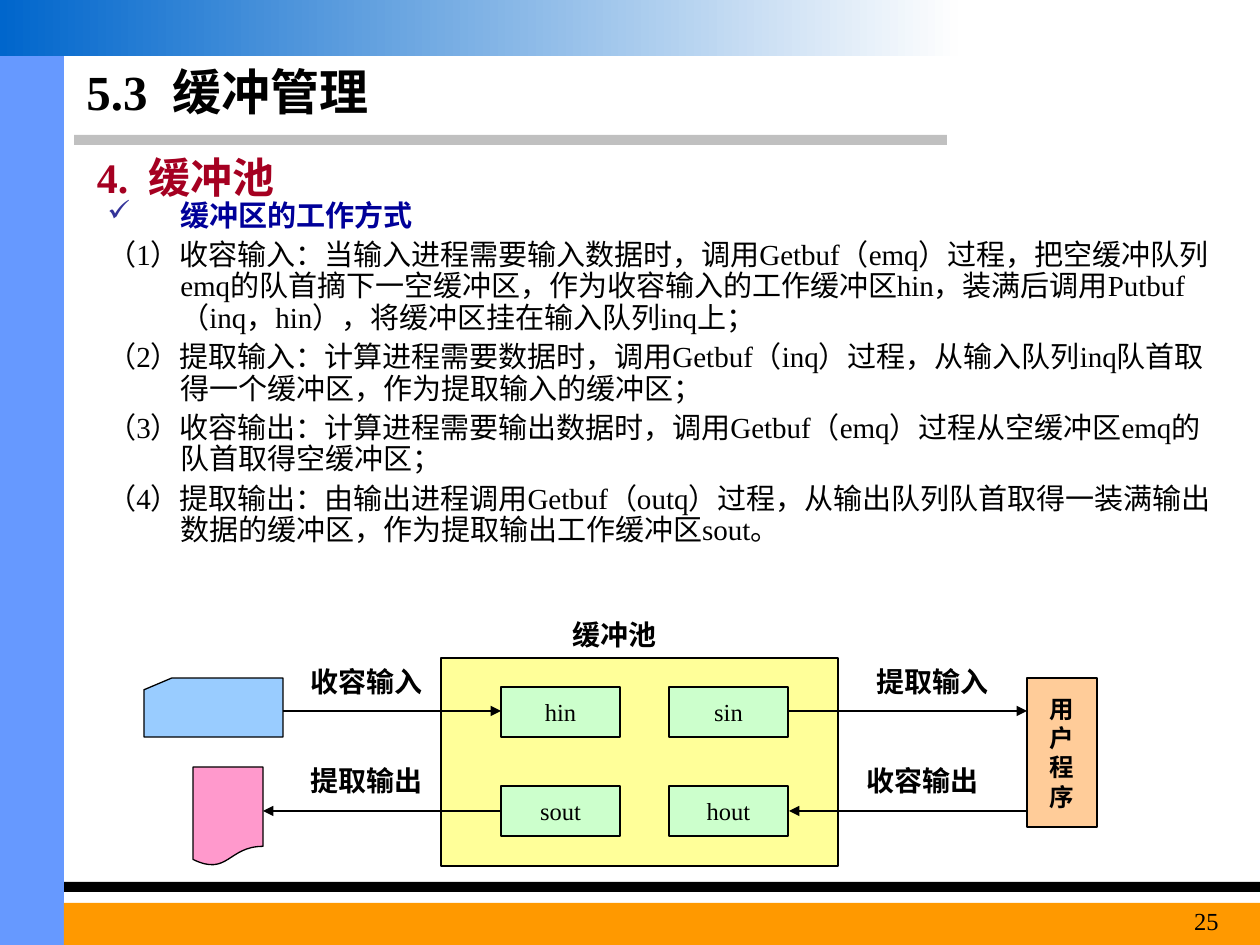
from lxml.etree import SubElement as Sub
from pptx import Presentation
from pptx.dml.color import RGBColor as Rgb
from pptx.enum.shapes import MSO_CONNECTOR as Conn, MSO_SHAPE as Kind
from pptx.enum.text import MSO_ANCHOR as Anchor, PP_ALIGN as Align
from pptx.oxml.ns import qn
from pptx.util import Emu, Pt

FONT = "Times New Roman"
HUES = {
    "black": "000000", "gray": "C0C0C0", "side": "6699FF", "foot": "FF9900",
    "deep": "0066CC", "pale": "FEFEFE", "red": "A50021", "navy": "000099",
    "mark": "333399", "pool": "FFFF99", "user": "FFCC99", "cell": "CCFFCC",
    "card": "99CCFF", "paper": "FF99CC",
}
STEPS = [
    "（1）收容输入：当输入进程需要输入数据时，调用Getbuf（emq）过程，把空缓冲队列emq的队首摘下一空缓冲区，作为收容输入的工作缓冲区hin，装满后调用Putbuf（inq，hin），将缓冲区挂在输入队列inq上；",
    "（2）提取输入：计算进程需要数据时，调用Getbuf（inq）过程，从输入队列inq队首取得一个缓冲区，作为提取输入的缓冲区；",
    "（3）收容输出：计算进程需要输出数据时，调用Getbuf（emq）过程从空缓冲区emq的队首取得空缓冲区；",
    "（4）提取输出：由输出进程调用Getbuf（outq）过程，从输出队列队首取得一装满输出数据的缓冲区，作为提取输出工作缓冲区sout。",
]


def px(n):
    return Emu(round(n * 914400 / 126))


def hue(name):
    return Rgb.from_string(HUES[name])


def style(para, size, color="black", bold=False, align=Align.LEFT):
    para.alignment = align
    font = para.font
    font.name, font.size, font.bold = FONT, Pt(size), bold
    font.color.rgb = hue(color)


def shape(slide, box, fill, kind=Kind.RECTANGLE, edge=True):
    item = slide.shapes.add_shape(kind, *map(px, box))
    item.shadow.inherit = False
    item.fill.solid()
    item.fill.fore_color.rgb = hue(fill)
    if edge:
        item.line.color.rgb = hue("black")
        item.line.width = Pt(0.75)
    else:
        item.line.fill.background()
    return item


def block(slide, box, fill, lines, bold=False):
    frame = shape(slide, box, fill).text_frame
    frame.word_wrap = False
    frame.vertical_anchor = Anchor.MIDDLE
    frame.text = "\n".join(lines)
    for para in frame.paragraphs:
        style(para, 14, bold=bold, align=Align.CENTER)


def text(slide, box, words, size, color="black", bold=True, align=Align.LEFT, tab=0):
    frame = slide.shapes.add_textbox(*map(px, box)).text_frame
    frame.word_wrap = True
    frame.text = words
    para = frame.paragraphs[0]
    if tab:
        tabs = Sub(para._p.get_or_add_pPr(), qn("a:tabLst"))
        Sub(tabs, qn("a:tab"), pos=str(px(tab)), algn="l")
    style(para, size, color, bold, align)
    return frame


def arrow(slide, start, end, y):
    line = slide.shapes.add_connector(Conn.STRAIGHT, px(start), px(y), px(end), px(y))
    line.line.color.rgb = hue("black")
    line.line.width = Pt(0.75)
    Sub(line.line._get_or_add_ln(), qn("a:tailEnd"), type="triangle")
    Sub(line._element.spPr, qn("a:effectLst"))


def trim(slide, box):
    x, y, w, h = box
    side, band = 64, 56
    shape(slide, (x + 74, y + 135, 873, 10), "gray", edge=False)
    shape(slide, (x, y + 882, w, 10), "black", edge=False)
    shape(slide, (x, y + band, side, h - band), "side", edge=False)
    shape(slide, (x + side, y + 903, w - side, h - 903), "foot", edge=False)
    top = shape(slide, (x, y, 958, band), "deep", edge=False)
    top.fill.gradient()
    top.fill.gradient_angle = 180
    for stop, name in zip(top.fill.gradient_stops, ("pale", "deep")):
        stop.color.rgb = hue(name)
    text(slide, (x + 1116, y + 900, 115, 45), "25", 14, bold=False, align=Align.RIGHT)


def head(slide, box):
    x, y, w, h = box
    title = text(slide, (x, y, w, 70), "5.3\t缓冲管理", 28, tab=86)
    title.vertical_anchor = Anchor.MIDDLE
    topic = text(slide, (x, y + 89, 605, h - 89), "4.\t缓冲池", 24, "red", tab=52)
    topic.margin_left = px(23)


def body(slide, box):
    frame = text(slide, box, "\n".join(["缓冲区的工作方式"] + STEPS), 16.6)
    for i, para in enumerate(frame.paragraphs):
        para.line_spacing = 0.9
        if i:
            para.space_before = Pt(4.5)
        props = para._p.get_or_add_pPr()
        props.set("marL", str(px(73)))
        props.set("indent", str(px(-73)))
        if i == 0:
            tint = Sub(props, qn("a:buClr"))
            Sub(tint, qn("a:srgbClr"), val=HUES["mark"])
            Sub(props, qn("a:buChar"), char="✓")
        style(para, 16.6, "black" if i else "navy", i == 0)


def flow(slide, box):
    x, y, w, h = box
    shape(slide, (x + 297, y + 47, 397, h - 47), "pool")
    block(slide, (x + w - 70, y + 67, 70, 149), "user", "用户程序", True)
    cells = [["hin", "sin"], ["sout", "hout"]]
    for row, names in enumerate(cells):
        for col, name in enumerate(names):
            spot = (x + 357 + 168 * col, y + 76 + 99 * row, 119, 50)
            block(slide, spot, "cell", [name])
    shape(slide, (x, y + 67, 139, 59), "card", Kind.FLOWCHART_CARD)
    shape(slide, (x + 49, y + 156, 70, 99), "paper", Kind.FLOWCHART_DOCUMENT)
    for start, end, top in ((139, 357, 100), (645, w - 70, 100),
                            (357, 119, 200), (w - 70, 645, 200)):
        arrow(slide, x + start, x + end, y + top)
    labels = [(386, 0, "缓冲池"), (138, 47, "收容输入"), (704, 47, "提取输入"),
              (138, 146, "提取输出"), (694, 146, "收容输出")]
    for left, top, name in labels:
        text(slide, (x + left, y + top, 169, 47), name, 16, align=Align.CENTER)


def main():
    deck = Presentation()
    deck.slide_width, deck.slide_height = px(1260), px(945)
    slide = deck.slides.add_slide(deck.slide_layouts[6])
    trim(slide, (0, 0, 1260, 945))
    head(slide, (74, 56, 863, 152))
    body(slide, (95, 195, 1131, 407))
    flow(slide, (144, 611, 953, 255))
    deck.save("out.pptx")


if __name__ == "__main__":
    main()
